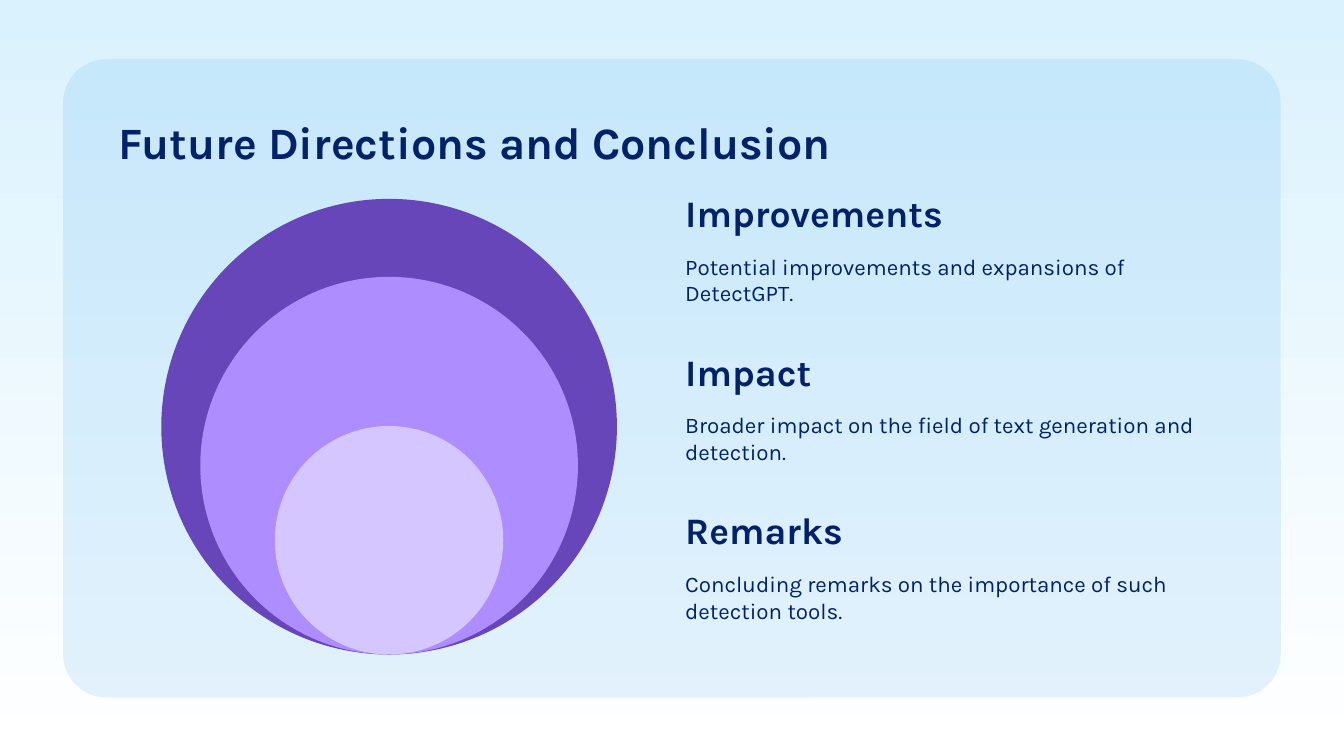
from lxml.etree import SubElement
from pptx import Presentation
from pptx.dml.color import RGBColor
from pptx.enum.shapes import MSO_SHAPE as Shape
from pptx.enum.text import MSO_ANCHOR as Anchor, MSO_AUTO_SIZE as AutoSize, PP_ALIGN as Align
from pptx.oxml.ns import qn
from pptx.util import Inches, Pt

FONT = "Karla"
SLIDE_WIDTH = 10
SLIDE_HEIGHT = SLIDE_WIDTH * 9 / 16
COLORS = {
    "navy": "012169",
    "sky": "DAF2FE",
    "panel": "0388E5",
    "white": "FFFFFF",
    "purple": "6746B9",
    "violet": "AD8DFF",
}
SECTIONS = [
    ("Improvements", "Potential improvements and expansions of DetectGPT."),
    ("Impact", "Broader impact on the field of text generation and detection."),
    ("Remarks", "Concluding remarks on the importance of such detection tools."),
]
# Diameter, colour and opacity in percent, from the outermost circle inwards
CIRCLES = [(3.39, "purple", 100), (2.81, "violet", 100), (1.7, "white", 50)]


def rgb(name):
    return RGBColor.from_string(COLORS[name])


def write_text(shape, text, size=12, bold=False, color="navy", anchor=Anchor.TOP):
    frame = shape.text_frame
    frame.word_wrap = True
    frame.auto_size = AutoSize.NONE
    frame.vertical_anchor = anchor
    frame.margin_left = frame.margin_right = Inches(0.1)
    frame.margin_top = frame.margin_bottom = Inches(0.1)
    paragraph = frame.paragraphs[0]
    paragraph.alignment = Align.LEFT
    run = paragraph.add_run()
    run.text = text
    run.font.name = FONT
    run.font.size = Pt(size)
    run.font.bold = bold
    run.font.color.rgb = rgb(color)


def add_text(slide, box, text, **text_format):
    write_text(slide.shapes.add_textbox(*map(Inches, box)), text, **text_format)


def add_filled(slide, kind, box, color, opacity=100):
    shape = slide.shapes.add_shape(kind, *map(Inches, box))
    shape.shadow.inherit = False
    shape.line.fill.background()
    shape.fill.solid()
    shape.fill.fore_color.rgb = rgb(color)
    if opacity < 100:
        color_element = next(shape._element.spPr.iter(qn("a:srgbClr")))
        SubElement(color_element, qn("a:alpha"), val=str(opacity * 1000))
    return shape


def paint_background(slide):
    fill = slide.background.fill
    fill.gradient()
    fill.gradient_angle = 90
    for stop, position, color in zip(fill.gradient_stops, (0, 1), ("white", "sky")):
        stop.position = position
        stop.color.rgb = rgb(color)


def add_panel(slide, box):
    panel = add_filled(slide, Shape.ROUNDED_RECTANGLE, box, "panel", opacity=10)
    panel.adjustments[0] = 0.068
    # Behind the title placeholder
    slide.shapes._spTree.insert(2, panel._element)


def set_title(slide, box, text):
    title = slide.shapes.title
    title.left, title.top, title.width, title.height = map(Inches, box)
    write_text(title, text, size=24, bold=True)


def add_sections(slide, box):
    left, top, width, height = box
    pitch = height / len(SECTIONS)
    for index, (heading, body) in enumerate(SECTIONS):
        y = top + index * pitch
        add_text(slide, (left, y, width, 0.54), heading,
                 size=20, bold=True, anchor=Anchor.BOTTOM)
        add_text(slide, (left, y + 0.47, width, 0.61), body)


def add_nested_circles(slide, box):
    # All circles share a centre line and touch at the bottom
    left, top, width, height = box
    for diameter, color, opacity in CIRCLES:
        x = left + (width - diameter) / 2
        y = top + height - diameter
        add_filled(slide, Shape.OVAL, (x, y, diameter, diameter), color, opacity)


def main():
    presentation = Presentation()
    presentation.slide_width = Inches(SLIDE_WIDTH)
    presentation.slide_height = Inches(SLIDE_HEIGHT)
    slide = presentation.slides.add_slide(presentation.slide_layouts[5])

    paint_background(slide)
    add_panel(slide, (0.47, 0.44, 9.06, 4.75))
    set_title(slide, (0.78, 0.75, 8.44, 0.61), "Future Directions and Conclusion")
    add_sections(slide, (5, 1.31, 4.22, 3.54))
    add_nested_circles(slide, (1.2, 1.48, 3.39, 3.39))

    presentation.save("out.pptx")


if __name__ == "__main__":
    main()
